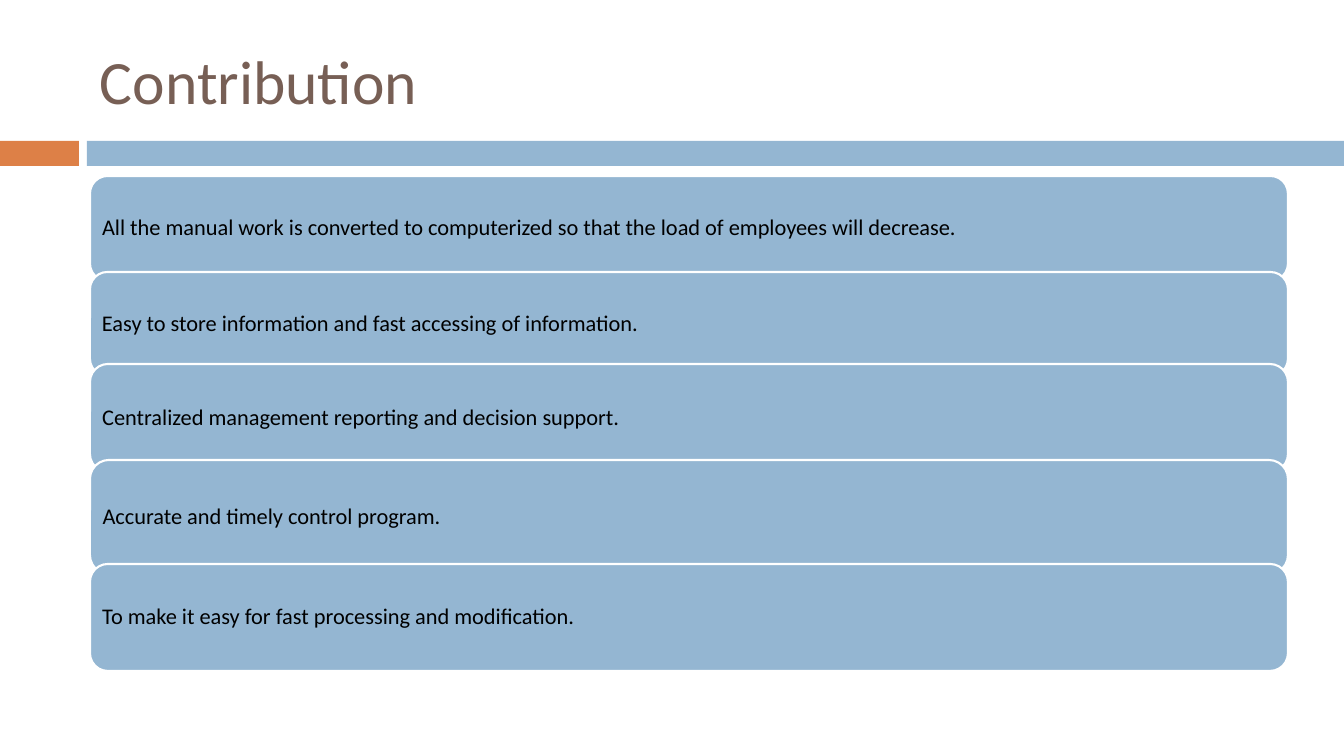
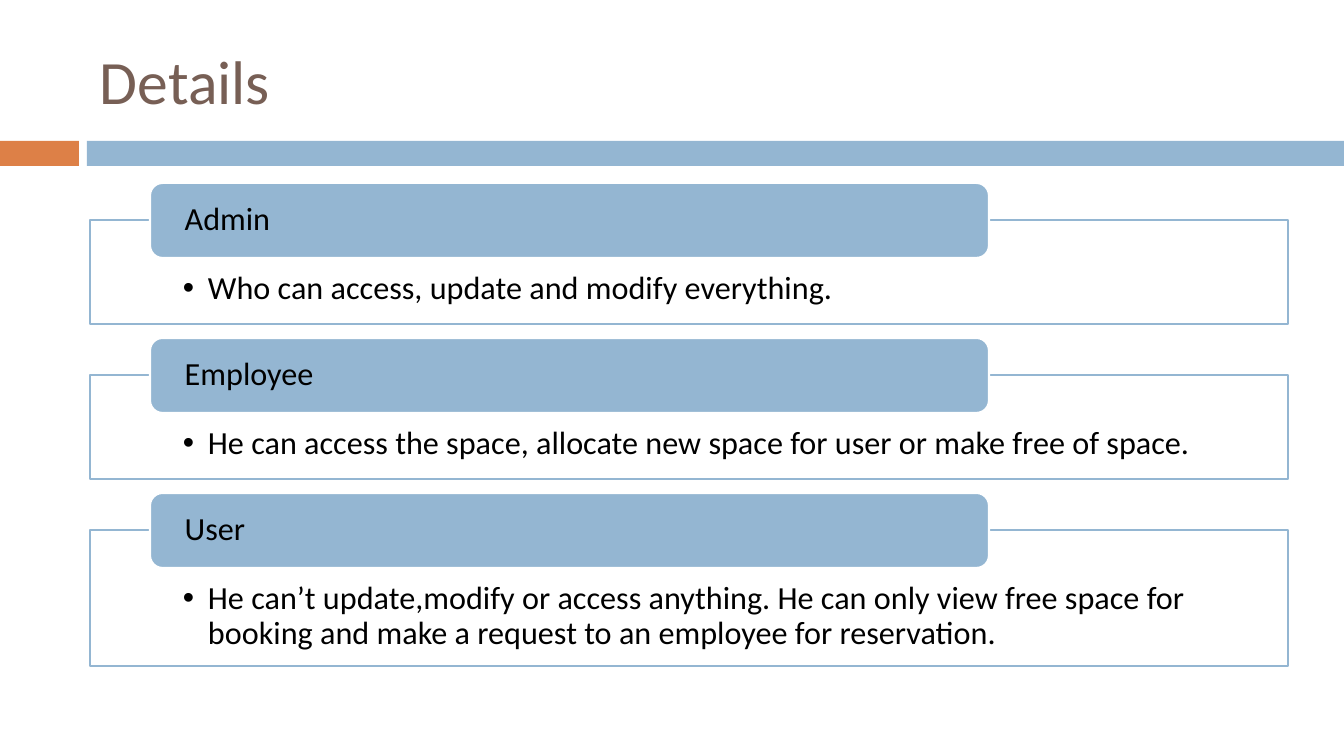
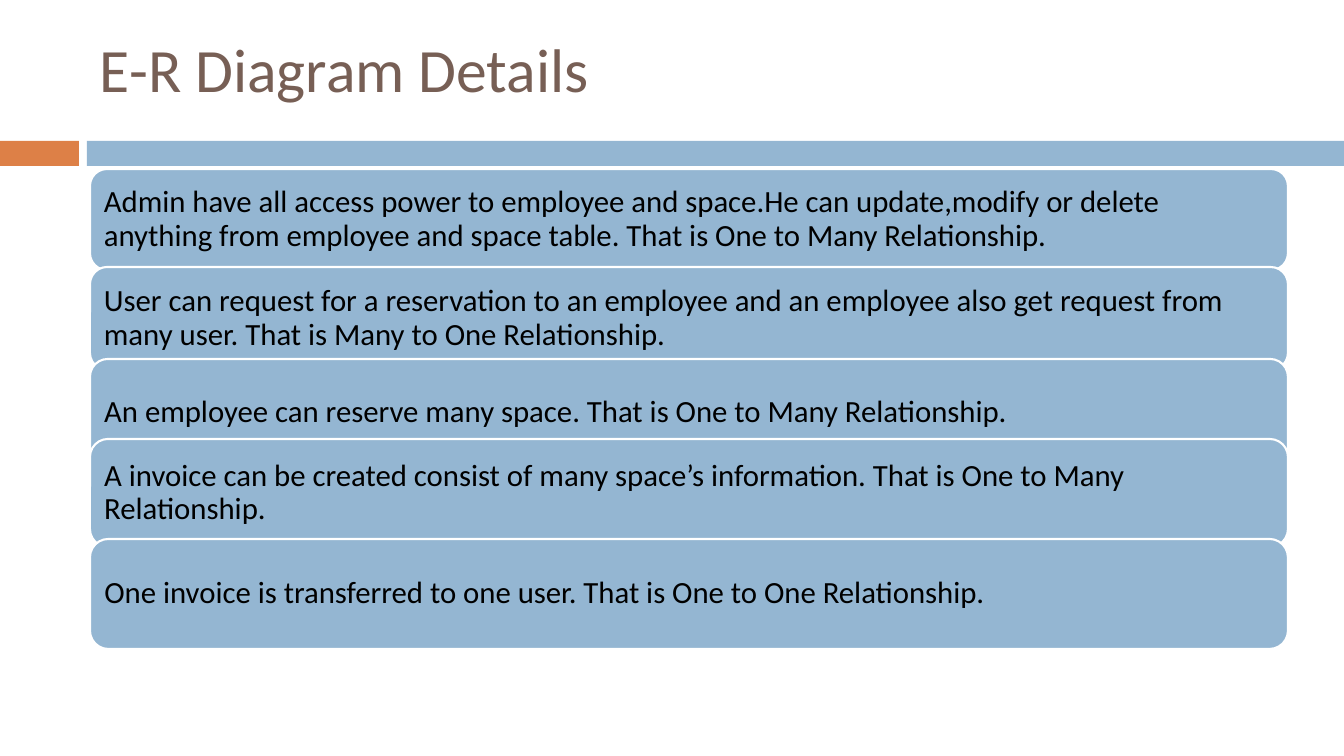
from lxml.etree import SubElement
from pptx import Presentation
from pptx.dml.color import RGBColor
from pptx.enum.shapes import MSO_SHAPE
from pptx.enum.text import MSO_ANCHOR, PP_ALIGN
from pptx.oxml.ns import qn
from pptx.util import Pt

COLORS = {
    "accent": "DD8047",
    "main": "94B6D2",
    "title": "775F55",
    "text": "000000",
    "white": "FFFFFF",
}
FONT = "Calibri"
SCALE = 914400 / 100.8
LEFT, WIDTH = 90, 1198


def px(n):
    return round(n * SCALE)


def rgb(name):
    return RGBColor.from_string(COLORS[name])


class Deck:
    def __init__(self):
        self.prs = Presentation()
        self.prs.slide_width, self.prs.slide_height = px(1344), px(756)
        self.s = None

    # Slide with its title and band
    def slide(self, title, title_h=109):
        self.s = self.prs.slides.add_slide(self.prs.slide_layouts[6])
        self.shape(MSO_SHAPE.RECTANGLE, 0, 141, 79, 25, "accent")
        self.shape(MSO_SHAPE.RECTANGLE, 87, 141, 1257, 25, "main")
        sp = self.s.shapes.add_textbox(px(LEFT), px(25), px(WIDTH), px(title_h))
        self.text(sp, title, 44, (10, 5, 10, 5), color="title", spacing=1)

    def shape(self, kind, x, y, w, h, fill, line=None):
        sp = self.s.shapes.add_shape(kind, px(x), px(y), px(w), px(h))
        sp.shadow.inherit = False
        sp.fill.solid()
        sp.fill.fore_color.rgb = rgb(fill)
        if line:
            sp.line.color.rgb = rgb(line)
            sp.line.width = Pt(1.5)
        else:
            sp.line.fill.background()
        return sp

    def text(self, sp, words, size, insets, color="text", spacing=0.9,
             anchor=MSO_ANCHOR.MIDDLE):
        tf = sp.text_frame
        tf.word_wrap = True
        tf.vertical_anchor = anchor
        (tf.margin_left, tf.margin_top,
         tf.margin_right, tf.margin_bottom) = map(px, insets)
        p = tf.paragraphs[0]
        p.alignment = PP_ALIGN.LEFT
        p.line_spacing = spacing
        r = p.add_run()
        r.text = words
        r.font.name, r.font.size = FONT, Pt(size)
        r.font.color.rgb = rgb(color)
        return p

    def bullet(self, p, indent):
        pPr = p._p.get_or_add_pPr()
        pPr.set("marL", str(px(indent)))
        pPr.set("indent", str(-px(indent)))
        SubElement(pPr, qn("a:buFont"), typeface="Arial")
        SubElement(pPr, qn("a:buChar"), char="•")

    # Rounded box with a white outline
    def box(self, x, y, w, h, words, size, insets):
        sp = self.shape(MSO_SHAPE.ROUNDED_RECTANGLE, x, y, w, h, "main", "white")
        self.text(sp, words, size, insets)

    # Overlapping full-width boxes
    def stack(self, rows, size, inset):
        for y, h, words in rows:
            self.box(LEFT, y, WIDTH, h, words, size, (inset,) * 4)

    # Outlined frame with a heading tab across its top edge
    def role(self, y, h, name, words):
        sp = self.shape(MSO_SHAPE.RECTANGLE, LEFT, y, WIDTH, h, "white", "main")
        p = self.text(sp, words, 23, (93, 52, 93, 18), anchor=MSO_ANCHOR.TOP)
        self.bullet(p, 25)
        self.box(150, y - 37, 839, 75, name, 23, (31, 0, 31, 0))


deck = Deck()

# Contribution
deck.slide("Contribution")
deck.stack([
    (176, 105, "All the manual work is converted to computerized so that "
               "the load of employees will decrease."),
    (272, 104, "Easy to store information and fast accessing of information."),
    (364, 108, "Centralized management reporting and decision support."),
    (460, 114, "Accurate and timely control program."),
    (564, 107, "To make it easy for fast processing and modification."),
], size=16, inset=7)

# Details
deck.slide("Details")
roles = [
    ("Admin", 104, "Who can access, update and modify everything."),
    ("Employee", 104, "He can access the space, allocate new space for user "
                      "or make free of space."),
    ("User", 136, "He can’t update,modify or access anything. He can only view "
                  "free space for booking and make a request to an employee "
                  "for reservation."),
]
for i, (name, h, words) in enumerate(roles):
    deck.role(220 + 155 * i, h, name, words)

# E-R diagram details
deck.slide("E-R Diagram Details", title_h=86)
deck.stack([
    (169, 101, "Admin have all access power to employee and space.He can "
               "update,modify or delete anything from employee and space table. "
               "That is One to Many Relationship."),
    (267, 103, "User can request for a reservation to an employee and an "
               "employee also get request from many user. That is Many to One "
               "Relationship."),
    (359, 107, "An employee can reserve many space. That is One to Many "
               "Relationship."),
    (439, 108, "A invoice can be created consist of many space’s information. "
               "That is One to Many Relationship."),
    (539, 110, "One invoice is transferred to one user. That is One to One "
               "Relationship."),
], size=22, inset=9)

deck.prs.save("out.pptx")
